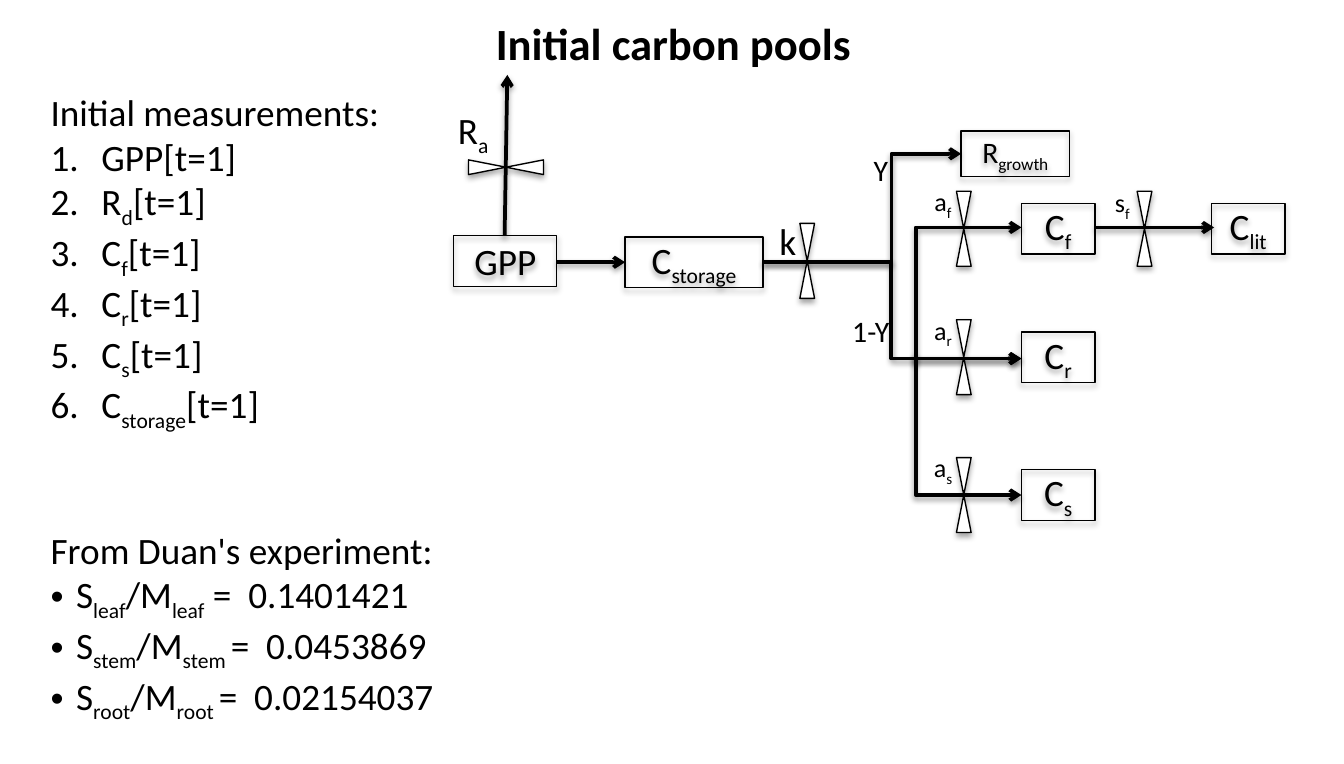
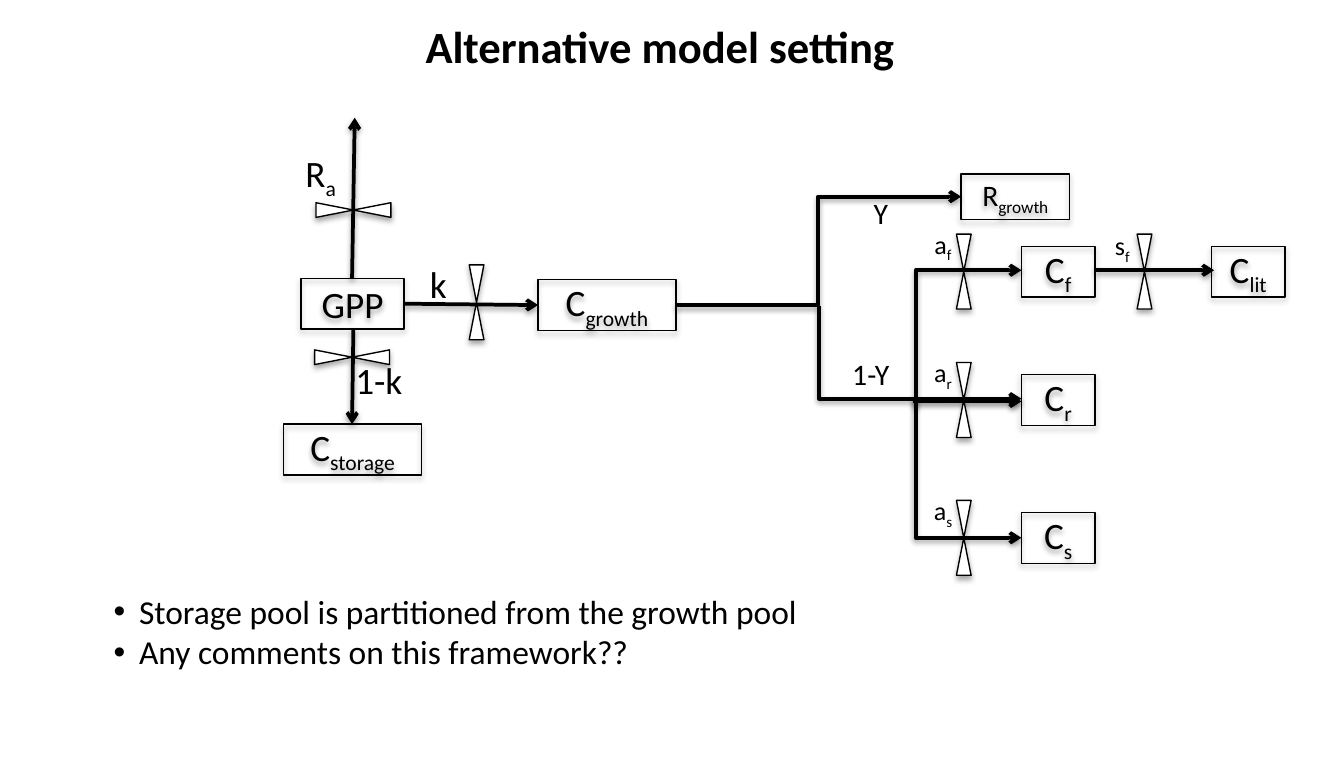
from dataclasses import dataclass

from lxml import etree
from pptx import Presentation
from pptx.dml.color import RGBColor
from pptx.enum.shapes import MSO_CONNECTOR as CONN, MSO_SHAPE as SHAPE
from pptx.enum.text import MSO_ANCHOR as ANCHOR, PP_ALIGN as ALIGN
from pptx.oxml.ns import qn
from pptx.util import Inches, Pt

BLACK = RGBColor(0x00, 0x00, 0x00)
WHITE = RGBColor(0xFF, 0xFF, 0xFF)
FONT = "Calibri"
VALVE_W, VALVE_H = 0.11, 0.56
POOL_H = 0.38
MODEL_DROP = 0.32  # the second diagram sits lower


@dataclass(frozen=True)
class Box:
    """Text with |subscripts| between bars, in a rectangle in inches."""
    text: str
    x: float
    y: float
    w: float
    h: float = POOL_H
    size: int = 20


@dataclass(frozen=True)
class Line:
    """Arrow from one point to another; via_x makes it an elbow."""
    x1: float
    y1: float
    x2: float
    y2: float
    via_x: float | None = None


@dataclass(frozen=True)
class Valve:
    """Flow valve given by its centre."""
    cx: float
    cy: float
    rotation: int = 0


# Text
def add_runs(p, text: str, size: int, bold: bool = False) -> None:
    for i, part in enumerate(text.split("|")):
        if not part:
            continue
        r = p.add_run()
        r.text = part
        r.font.name = FONT
        r.font.size = Pt(size)
        r.font.bold = bold
        r.font.color.rgb = BLACK
        if i % 2:
            r.font._element.set("baseline", "-25000")


def add_bullet(p, numbered: bool, indent: float) -> None:
    pPr = p._p.get_or_add_pPr()
    pPr.set("marL", str(Inches(indent)))
    pPr.set("indent", str(-Inches(indent)))
    etree.SubElement(pPr, qn("a:buFont"), typeface="+mj-lt" if numbered else "Arial")
    if numbered:
        etree.SubElement(pPr, qn("a:buAutoNum"), type="arabicPeriod")
    else:
        etree.SubElement(pPr, qn("a:buChar"), char="•")


def add_list(s, x: float, y: float, w: float, h: float, items: list[str],
             heading: str = "", size: int = 20, numbered: bool = False) -> None:
    tf = s.shapes.add_textbox(Inches(x), Inches(y), Inches(w), Inches(h)).text_frame
    tf.word_wrap = True
    texts = ([heading] if heading else []) + items
    for i, text in enumerate(texts):
        p = tf.add_paragraph() if i else tf.paragraphs[0]
        if text != heading:
            add_bullet(p, numbered, 0.38 if numbered else 0.19)
        add_runs(p, text, size)


def add_title(s, text: str, x: float, y: float) -> None:
    tf = s.shapes.add_textbox(Inches(x), Inches(y), Inches(9.62), Inches(0.49)).text_frame
    tf.word_wrap = True
    p = tf.paragraphs[0]
    p.alignment = ALIGN.CENTER
    add_runs(p, text, 24, bold=True)


def centre_text(tf, box: Box) -> None:
    tf.margin_left = tf.margin_right = tf.margin_top = tf.margin_bottom = 0
    tf.word_wrap = False
    tf.vertical_anchor = ANCHOR.MIDDLE
    p = tf.paragraphs[0]
    p.alignment = ALIGN.CENTER
    add_runs(p, box.text, box.size)


# Diagram parts
def add_shadow(sp, distance: float, opacity: int) -> None:
    spPr = sp.element.spPr
    effects = spPr.find(qn("a:effectLst"))
    if effects is None:
        effects = etree.SubElement(spPr, qn("a:effectLst"))
    shadow = etree.SubElement(effects, qn("a:outerShdw"), blurRad=str(Pt(3.1)),
                              dist=str(Pt(distance)), dir="5400000", rotWithShape="0")
    colour = etree.SubElement(shadow, qn("a:srgbClr"), val=str(BLACK))
    etree.SubElement(colour, qn("a:alpha"), val=str(opacity * 1000))


def style_outline(sp) -> None:
    sp.line.color.rgb = BLACK
    sp.line.width = Pt(0.75)
    sp.shadow.inherit = False
    add_shadow(sp, 1.8, 35)


def add_pool(s, box: Box, dx: float, dy: float) -> None:
    sp = s.shapes.add_shape(SHAPE.RECTANGLE, Inches(box.x + dx), Inches(box.y + dy),
                            Inches(box.w), Inches(box.h))
    sp.fill.background()
    style_outline(sp)
    centre_text(sp.text_frame, box)


def add_label(s, box: Box, dx: float, dy: float) -> None:
    sp = s.shapes.add_textbox(Inches(box.x + dx), Inches(box.y + dy),
                              Inches(box.w), Inches(box.h))
    centre_text(sp.text_frame, box)


def add_valve(s, valve: Valve, dx: float, dy: float) -> None:
    sp = s.shapes.add_shape(SHAPE.FLOWCHART_COLLATE,
                            Inches(valve.cx + dx - VALVE_W / 2),
                            Inches(valve.cy + dy - VALVE_H / 2),
                            Inches(VALVE_W), Inches(VALVE_H))
    sp.rotation = valve.rotation
    sp.fill.solid()
    sp.fill.fore_color.rgb = WHITE
    style_outline(sp)


def add_arrow(s, line: Line, dx: float, dy: float) -> None:
    kind = CONN.STRAIGHT if line.via_x is None else CONN.ELBOW
    c = s.shapes.add_connector(kind, Inches(line.x1 + dx), Inches(line.y1 + dy),
                               Inches(line.x2 + dx), Inches(line.y2 + dy))
    c.line.color.rgb = BLACK
    c.line.width = Pt(2)
    spPr = c.element.spPr
    etree.SubElement(spPr.find(qn("a:ln")), qn("a:tailEnd"), type="arrow")
    if line.via_x is not None:
        bend = round((line.via_x - line.x1) / (line.x2 - line.x1) * 100000)
        guides = spPr.find(qn("a:prstGeom")).get_or_add_avLst()
        etree.SubElement(guides, qn("a:gd"), name="adj1", fmla=f"val {bend}")
    add_shadow(c, 1.6, 38)


def draw(s, arrows: list[Line], valves: list[Valve], pools: list[Box],
         labels: list[Box], dx: float = 0, dy: float = 0) -> None:
    for items, add in ((arrows, add_arrow), (valves, add_valve),
                       (pools, add_pool), (labels, add_label)):
        for item in items:
            add(s, item, dx, dy)


# Diagram sections used on both slides
def draw_gpp(s, dx: float = 0, dy: float = 0) -> None:
    draw(s, [Line(3.77, 1.76, 3.79, 0.56)], [Valve(3.78, 1.25, 90)],
         [Box("GPP", 3.39, 1.76, 0.77)], [Box("R|a|", 3.31, 0.8, 0.45)], dx, dy)


def draw_allocation(s, dy: float = 0) -> None:
    rows = {"f": 1.71, "r": 2.67, "s": 3.7}
    draw(s,
         [Line(6.84, 2.64, 7.63, 3.7, 6.84), Line(6.84, 2.72, 7.63, 1.7, 6.84),
          Line(6.82, 2.68, 7.63, 2.68), Line(8.18, 1.7, 9.07, 1.7)],
         [Valve(7.2, y) for y in rows.values()] + [Valve(8.55, rows["f"])],
         [Box(f"C|{k}|", 7.63, y - POOL_H / 2, 0.55) for k, y in rows.items()]
         + [Box("C|lit|", 9.05, 1.52, 0.55),
            Box("R|growth|", 7.18, 0.98, 0.81, 0.34, 16)],
         [Box(f"a|{k}|", 6.86, y - 0.34, 0.37, 0.3, 14) for k, y in rows.items()]
         + [Box("s|f|", 8.2, 1.38, 0.37, 0.3, 14),
            Box("Y", 6.4, 1.1, 0.36, 0.34, 16),
            Box("1-Y", 6.25, 2.31, 0.51, 0.32, 16)],
         dy=dy)


# Slides
def build_initial_pools(s) -> None:
    add_title(s, "Initial carbon pools", 0.22, 0.07)
    draw_gpp(s)
    draw_allocation(s)
    draw(s,
         [Line(4.16, 1.96, 4.67, 1.96), Line(5.7, 1.96, 7.63, 2.68, 6.66),
          Line(5.7, 1.96, 7.18, 1.15, 6.66)],
         [Valve(6.03, 1.95)],
         [Box("C|storage|", 4.67, 1.77, 1.03)],
         [Box("k", 5.66, 1.61, 0.45)])
    pools = ["R|d|"] + [f"C|{k}|" for k in ("f", "r", "s", "storage")]
    add_list(s, 0.28, 0.62, 2.7, 2.49, [f"{k}[t=1]" for k in ["GPP"] + pools],
             "Initial measurements:", numbered=True)
    add_list(s, 0.28, 3.89, 5.02, 1.47,
             ["S|leaf|/M|leaf| =  0.1401421",
              "S|stem|/M|stem |=  0.0453869",
              "S|root|/M|root |=  0.02154037"],
             "From Duan's experiment:")


def build_alternative_model(s) -> None:
    add_title(s, "Alternative model setting", 0.12, 0.09)
    draw_gpp(s, -1.14, MODEL_DROP)
    draw_allocation(s, MODEL_DROP)
    draw(s,
         [Line(2.64, 2.46, 2.63, 3.17), Line(3.02, 2.27, 4.02, 2.28),
          Line(5.04, 2.28, 7.18, 1.47, 6.11), Line(6.13, 2.3, 7.63, 2.98, 6.12)],
         [Valve(3.56, 2.26), Valve(2.63, 2.67, 90)],
         [Box("C|storage|", 2.12, 3.17, 1.03), Box("C|growth|", 4.02, 2.09, 1.03)],
         [Box("1-k", 2.54, 2.65, 0.58), Box("k", 2.96, 1.93, 0.63)])
    add_list(s, 0.75, 4.37, 5.65, 0.72,
             ["Storage pool is partitioned from the growth pool",
              "Any comments on this framework??"], size=18)


def main() -> None:
    prs = Presentation()
    prs.slide_width, prs.slide_height = Inches(10.04), Inches(5.71)
    for build in (build_initial_pools, build_alternative_model):
        build(prs.slides.add_slide(prs.slide_layouts[6]))
    prs.save("out.pptx")


if __name__ == "__main__":
    main()
